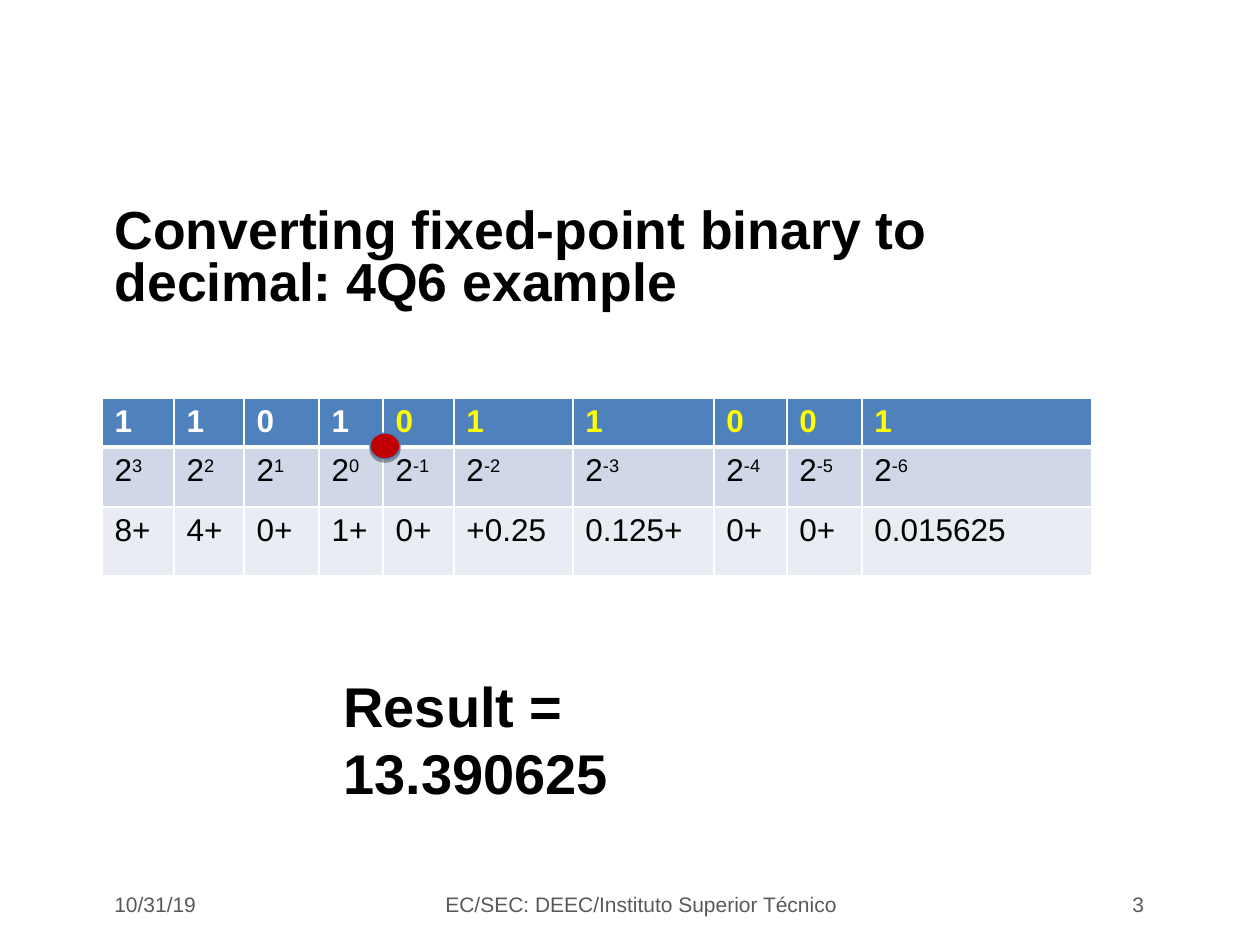
from lxml import etree
from pptx import Presentation, util as u
from pptx.dml.color import RGBColor
from pptx.enum import shapes, text
from pptx.oxml import ns

SCALE = u.Inches(1) / 126
COLUMNS = [72, 70, 75, 64, 71, 119, 141, 73, 75, 230]
ROWS = [49, 60, 69]
BITS = "1101011001"
INTEGER_BITS = 4
TERMS = ["8+", "4+", "0+", "1+", "0+", "+0.25", "0.125+", "0+", "0+", "0.015625"]
ROW_FILLS = ["4F81BD", "D0D8E7", "E9ECF3"]


def px(*lengths):
    return [round(length * SCALE) for length in lengths]


def color(value):
    return RGBColor.from_string(value)


def add_xml(parent, tag, **attributes):
    return etree.SubElement(parent, ns.qn(tag), attributes)


class Deck:
    """Slide builder holding the shared style and the current slide."""

    font = "Arial"
    ink = "000000"
    muted = "595959"

    def __init__(self):
        self.presentation = Presentation()
        self.presentation.slide_width, self.presentation.slide_height = px(1260, 945)
        self.slide = self.presentation.slides.add_slide(self.presentation.slide_layouts[5])

    def style(self, paragraph, size, ink, bold=False):
        for run in paragraph.runs:
            run.font.name, run.font.size, run.font.bold = self.font, u.Pt(size), bold
            run.font.color.rgb = color(ink)

    def title(self, wording, box):
        title = self.slide.shapes.title
        title.left, title.top, title.width, title.height = px(*box)
        frame = title.text_frame
        frame.text = wording
        frame.word_wrap = True
        frame.auto_size = text.MSO_AUTO_SIZE.NONE
        frame.vertical_anchor = text.MSO_ANCHOR.MIDDLE
        line = frame.paragraphs[0]
        line.alignment = text.PP_ALIGN.LEFT
        line.line_spacing = 0.8
        self.style(line, 30.6, self.ink, True)

    def label(self, wording, box, size, ink, bold=False,
              align=text.PP_ALIGN.LEFT, anchor=text.MSO_ANCHOR.TOP, right_inset=13):
        frame = self.slide.shapes.add_textbox(*px(*box)).text_frame
        frame.text = wording
        frame.word_wrap = True
        frame.vertical_anchor = anchor
        frame.margin_right = px(right_inset)[0]
        frame.paragraphs[0].alignment = align
        self.style(frame.paragraphs[0], size, ink, bold)

    def footer(self, wording, left, width, align):
        self.label(wording, (left, 883, width, 43), 12, self.muted,
                   align=align, anchor=text.MSO_ANCHOR.MIDDLE)

    def borders(self, cell, row):
        widths = {"L": 0.96, "R": 0.96,
                  "T": 3 if row == 1 else 0.96, "B": 3 if row == 0 else 0.96}
        properties = cell._tc.get_or_add_tcPr()
        for index, (side, width) in enumerate(widths.items()):
            edge = etree.Element(ns.qn(f"a:ln{side}"), w=str(u.Pt(width)))
            add_xml(add_xml(edge, "a:solidFill"), "a:srgbClr", val="FFFFFF")
            properties.insert(index, edge)

    def cell(self, cell, row, wording, ink, exponent=None):
        cell.text_frame.text = wording
        line = cell.text_frame.paragraphs[0]
        if exponent is not None:
            power = line.add_run()
            power.text = str(exponent)
            power._r.get_or_add_rPr().set("baseline", "30000")
        self.style(line, 18, ink, row == 0)
        cell.fill.solid()
        cell.fill.fore_color.rgb = color(ROW_FILLS[row])
        self.borders(cell, row)

    def place_values(self, left, top):
        box = px(left, top, sum(COLUMNS), sum(ROWS))
        table = self.slide.shapes.add_table(len(ROWS), len(COLUMNS), *box).table
        for row, height in zip(table.rows, px(*ROWS)):
            row.height = height
        for index, width in enumerate(px(*COLUMNS)):
            table.columns[index].width = width
            bit_ink = "FFFFFF" if index < INTEGER_BITS else "FFFF00"
            self.cell(table.cell(0, index), 0, BITS[index], bit_ink)
            self.cell(table.cell(1, index), 1, "2", self.ink, INTEGER_BITS - 1 - index)
            self.cell(table.cell(2, index), 2, TERMS[index], self.ink)

    def point(self, box):
        point = self.slide.shapes.add_shape(shapes.MSO_SHAPE.OVAL, *px(*box))
        point.fill.solid()
        point.fill.fore_color.rgb = color("C00000")
        point.line.color.rgb = color("4A7EBB")
        point.line.width = u.Pt(0.75)
        point.shadow.inherit = False
        effects = point._element.spPr.find(ns.qn("a:effectLst"))
        shadow = add_xml(effects, "a:outerShdw", blurRad="0", dist=str(u.Pt(1.8)),
                         dir="5400000", rotWithShape="0")
        tint = add_xml(shadow, "a:srgbClr", val="000000")
        add_xml(tint, "a:alpha", val="35000")


def main():
    deck = Deck()
    deck.title("Converting fixed-point binary to decimal: 4Q6 example", (102, 200, 1055, 120))
    deck.place_values(102, 398)
    deck.footer("10/31/19", 102, 255, text.PP_ALIGN.LEFT)
    deck.footer("EC/SEC: DEEC/Instituto Superior Técnico ", 431, 427, text.PP_ALIGN.CENTER)
    deck.footer("3", 905, 252, text.PP_ALIGN.RIGHT)
    deck.point((370, 433, 30, 26))
    deck.label("Result = 13.390625", (331, 665, 525, 79), 32, deck.ink, True, right_inset=50)
    deck.presentation.save("out.pptx")


if __name__ == "__main__":
    main()
